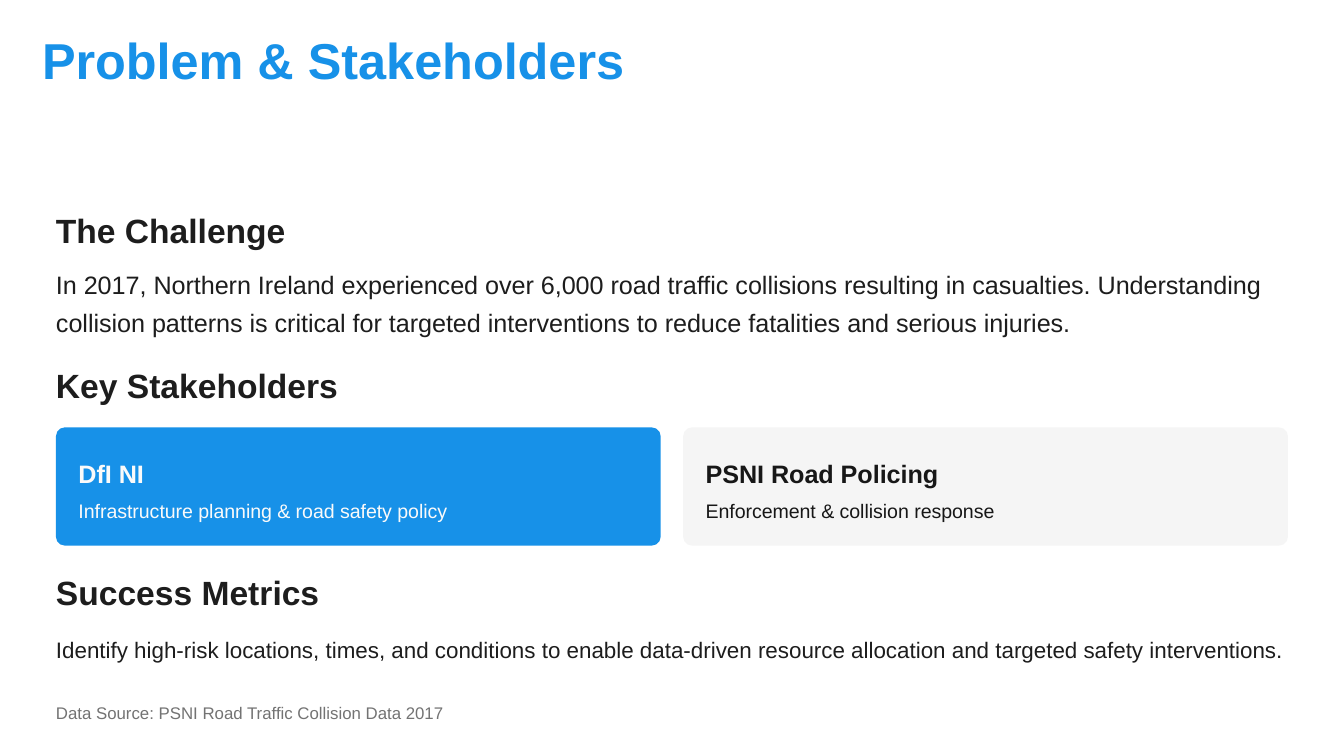
from pptx import Presentation
from pptx import util as u
from pptx.dml.color import RGBColor
from pptx.enum import shapes, text

BLUE = RGBColor(0x17, 0x91, 0xE8)
INK = RGBColor(0x1D, 0x1D, 0x1D)
DARK = RGBColor(0x17, 0x17, 0x17)
PALE = RGBColor(0xFA, 0xFA, 0xFA)
LIGHT = RGBColor(0xF5, 0xF5, 0xF5)
GREY = RGBColor(0x73, 0x73, 0x73)

WIDE = 10
HIGH = WIDE * 9 / 16
EDGE = WIDE / 24      # left margin of the body
BODY = 9.35           # width of body text
GAP = WIDE / 60       # between cards, and inside them
CARD_W = (WIDE - 2 * EDGE - GAP) / 2
CARD_H = 0.88
CARD_Y = 3.18

HEADS = [(1.53, "The Challenge"), (2.68, "Key Stakeholders"),
         (4.22, "Success Metrics")]
CARDS = [
    ("DfI NI", "Infrastructure planning & road safety policy", BLUE, PALE),
    ("PSNI Road Policing", "Enforcement & collision response", LIGHT, DARK),
]


def place(shape, x, y, w, h):
    shape.left, shape.top = u.Inches(x), u.Inches(y)
    shape.width, shape.height = u.Inches(w), u.Inches(h)


def write(shape, words, size, lead, color, bold=False, before=0):
    frame = shape.text_frame
    frame.text = words
    frame.word_wrap = True
    frame.auto_size = text.MSO_AUTO_SIZE.NONE
    frame.vertical_anchor = text.MSO_ANCHOR.TOP
    frame.margin_left = frame.margin_right = 0
    frame.margin_top = frame.margin_bottom = 0
    para = frame.paragraphs[0]
    para.alignment = text.PP_ALIGN.LEFT
    para.line_spacing = u.Pt(lead)
    para.space_before = u.Pt(before)
    font = para.runs[0].font
    font.name, font.size, font.bold = "Arial", u.Pt(size), bold
    font.color.rgb = color


def label(slide, box, words, size, lead, color, **style):
    shape = slide.shapes.add_textbox(0, 0, 0, 0)
    place(shape, *box)
    write(shape, words, size, lead, color, **style)


def card(slide, col, name, role, fill, color):
    x = EDGE + col * (CARD_W + GAP)
    shape = slide.shapes.add_shape(
        shapes.MSO_SHAPE.ROUNDED_RECTANGLE, 0, 0, 0, 0)
    place(shape, x, CARD_Y, CARD_W, CARD_H)
    shape.adjustments[0] = 0.076
    shape.shadow.inherit = False
    shape.fill.solid()
    shape.fill.fore_color.rgb = fill
    shape.line.fill.background()
    left, top, width = x + GAP, CARD_Y + GAP, 4.25
    label(slide, (left, top, width, 0.29), name, 13.5, 21, color, bold=True)
    label(slide, (left, top + 0.33, width, 0.21), role, 10.5, 15, color,
          before=3)


def main():
    deck = Presentation()
    deck.slide_width, deck.slide_height = u.Inches(WIDE), u.Inches(HIGH)
    slide = deck.slides.add_slide(deck.slide_layouts[5])

    # Title
    title = slide.shapes.title
    place(title, WIDE / 32, 0.25, 4.79, 0.42)
    write(title, "Problem & Stakeholders", 27, 30, BLUE, bold=True)

    # Section headings
    for y, words in HEADS:
        label(slide, (EDGE, y, BODY, 0.33), words, 18, 24, INK, bold=True)

    # Challenge
    label(slide, (EDGE, 1.95, BODY, 0.56),
          "In 2017, Northern Ireland experienced over 6,000 road traffic "
          "collisions resulting in casualties. Understanding collision "
          "patterns is critical for targeted interventions to reduce "
          "fatalities and serious injuries.", 13.5, 20.2, INK)

    # Stakeholder cards
    for col, item in enumerate(CARDS):
        card(slide, col, *item)

    # Metrics and source
    label(slide, (EDGE, 4.68, BODY, 0.25),
          "Identify high-risk locations, times, and conditions to enable "
          "data-driven resource allocation and targeted safety "
          "interventions.", 12, 18, INK, before=3)
    label(slide, (EDGE, 5.21, 2.94, 0.17),
          "Data Source: PSNI Road Traffic Collision Data 2017", 9, 12, GREY)

    deck.save("out.pptx")


if __name__ == "__main__":
    main()
